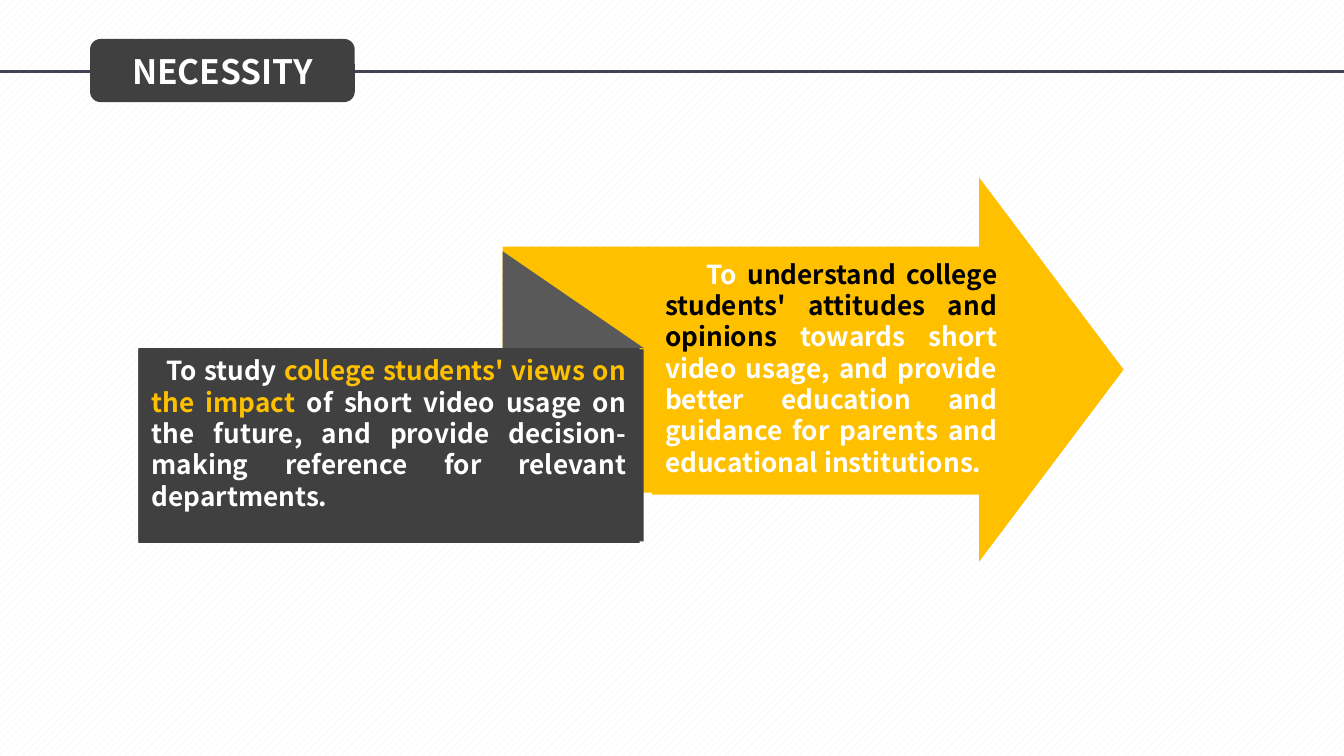
from dataclasses import dataclass

from pptx import Presentation
from pptx.dml.color import RGBColor
from pptx.enum.dml import MSO_PATTERN
from pptx.enum.shapes import MSO_CONNECTOR, MSO_SHAPE
from pptx.enum.text import MSO_ANCHOR, MSO_AUTO_SIZE, PP_ALIGN
from pptx.oxml.ns import qn
from pptx.util import Inches, Pt
from lxml.etree import SubElement


@dataclass(frozen=True)
class Theme:
    """Colours, font and type sizes of the slide."""
    dark: str = "404040"
    fold: str = "595959"
    gold: str = "FFC000"
    rule: str = "414455"
    white: str = "FFFFFF"
    black: str = "000000"
    stripe: str = "F2F2F2"
    font: str = "Noto Sans CJK SC"
    title: float = 18
    body: float = 14
    leading: float = 16.8


@dataclass(frozen=True)
class Panel:
    """A filled shape with optional (text, colour) runs."""
    box: tuple[float, float, float, float]
    fill: str
    kind: MSO_SHAPE = MSO_SHAPE.RECTANGLE
    adj: tuple[float, ...] = ()
    runs: tuple[tuple[str, str], ...] = ()
    indent: float = 0


T = Theme()
WIDTH = 10
HEIGHT = WIDTH * 9 / 16
RULE_Y = 0.53
TAG = (0.67, 0.29, 1.97, 0.47)
FOLD_LEFT, FOLD_RIGHT, FOLD_TOP, FOLD_BOTTOM = 3.74, 4.79, 1.87, 2.59

TAG_PANEL = Panel(TAG, T.dark, MSO_SHAPE.ROUNDED_RECTANGLE)
ARROW_PANELS = (
    Panel((FOLD_LEFT, 1.32, 4.62, 2.86), T.gold, MSO_SHAPE.RIGHT_ARROW, (0.64, 0.376)),
    Panel((4.85, FOLD_TOP, 2.67, 1.81), T.gold, indent=0.31, runs=(
        ("To ", T.white),
        ("understand college students' attitudes and opinions", T.black),
        (" towards short video usage, and provide better education and guidance "
         "for parents and educational institutions.", T.white))),
)
DARK_PANELS = (
    Panel((1.03, 2.6, 3.76, 1.43), T.dark),
    Panel((1.03, FOLD_BOTTOM, 3.73, 1.45), T.dark, indent=0.11, runs=(
        ("To study ", T.white),
        ("college students' views on the impact ", T.gold),
        ("of short video usage on the future, and provide decision-making "
         "reference for relevant departments.", T.white))),
)


def rgb(color: str) -> RGBColor:
    """Turn a hex string into a colour."""
    return RGBColor.from_string(color)


def paint(sp, color: str) -> None:
    """Give a shape a flat fill without line or shadow."""
    sp.fill.solid()
    sp.fill.fore_color.rgb = rgb(color)
    sp.line.fill.background()
    sp.shadow.inherit = False


def write(tf, runs, *, size: float, align: PP_ALIGN, anchor: MSO_ANCHOR,
          indent: float = 0, leading: float | None = None) -> None:
    """Write bold coloured runs as one paragraph."""
    tf.word_wrap = True
    tf.auto_size = MSO_AUTO_SIZE.NONE
    tf.vertical_anchor = anchor
    p = tf.paragraphs[0]
    p.alignment = align
    if leading:
        p.line_spacing = Pt(leading)
    if indent:
        p._p.get_or_add_pPr().set("indent", str(Inches(indent)))
    for text, color in runs:
        r = p.add_run()
        r.text = text
        r.font.name, r.font.size, r.font.bold = T.font, Pt(size), True
        r.font.color.rgb = rgb(color)


def add_panel(s, panel: Panel) -> None:
    """Draw one panel with its text."""
    sp = s.shapes.add_shape(panel.kind, *map(Inches, panel.box))
    for i, value in enumerate(panel.adj):
        sp.adjustments[i] = value
    paint(sp, panel.fill)
    if panel.runs:
        write(sp.text_frame, panel.runs, size=T.body, align=PP_ALIGN.JUSTIFY,
              anchor=MSO_ANCHOR.TOP, indent=panel.indent, leading=T.leading)


def add_rule(s) -> None:
    """Draw the line across the slide behind the title."""
    y = Inches(RULE_Y)
    line = s.shapes.add_connector(MSO_CONNECTOR.STRAIGHT, 0, y, Inches(WIDTH), y)
    line.line.color.rgb = rgb(T.rule)
    line.line.width = Pt(1.5)
    SubElement(line.element.spPr, qn("a:effectLst"))


def add_fold(s) -> None:
    """Draw the triangle that folds the arrow over the dark panel."""
    left, right, top, bottom = map(
        Inches, (FOLD_LEFT, FOLD_RIGHT, FOLD_TOP, FOLD_BOTTOM))
    builder = s.shapes.build_freeform(left, bottom)
    builder.add_line_segments([(left, top), (right, bottom)])
    paint(builder.convert_to_shape(), T.fold)


def add_title(s, text: str) -> None:
    """Set the title placeholder on top of its tag."""
    add_panel(s, TAG_PANEL)
    title = s.shapes.title
    title.left, title.top, title.width, title.height = map(Inches, TAG)
    write(title.text_frame, [(text, T.white)], size=T.title,
          align=PP_ALIGN.CENTER, anchor=MSO_ANCHOR.MIDDLE)
    title.element.getparent().append(title.element)


def main() -> None:
    """Build and save the slide."""
    prs = Presentation()
    prs.slide_width, prs.slide_height = Inches(WIDTH), Inches(HEIGHT)
    s = prs.slides.add_slide(prs.slide_layouts.get_by_name("Title Only"))
    bg = s.background.fill
    bg.patterned()
    bg.pattern = MSO_PATTERN.WIDE_UPWARD_DIAGONAL
    bg.fore_color.rgb, bg.back_color.rgb = rgb(T.stripe), rgb(T.white)
    add_rule(s)
    add_title(s, "NECESSITY")
    for panel in ARROW_PANELS:
        add_panel(s, panel)
    add_fold(s)
    for panel in DARK_PANELS:
        add_panel(s, panel)
    prs.save("out.pptx")


main()
